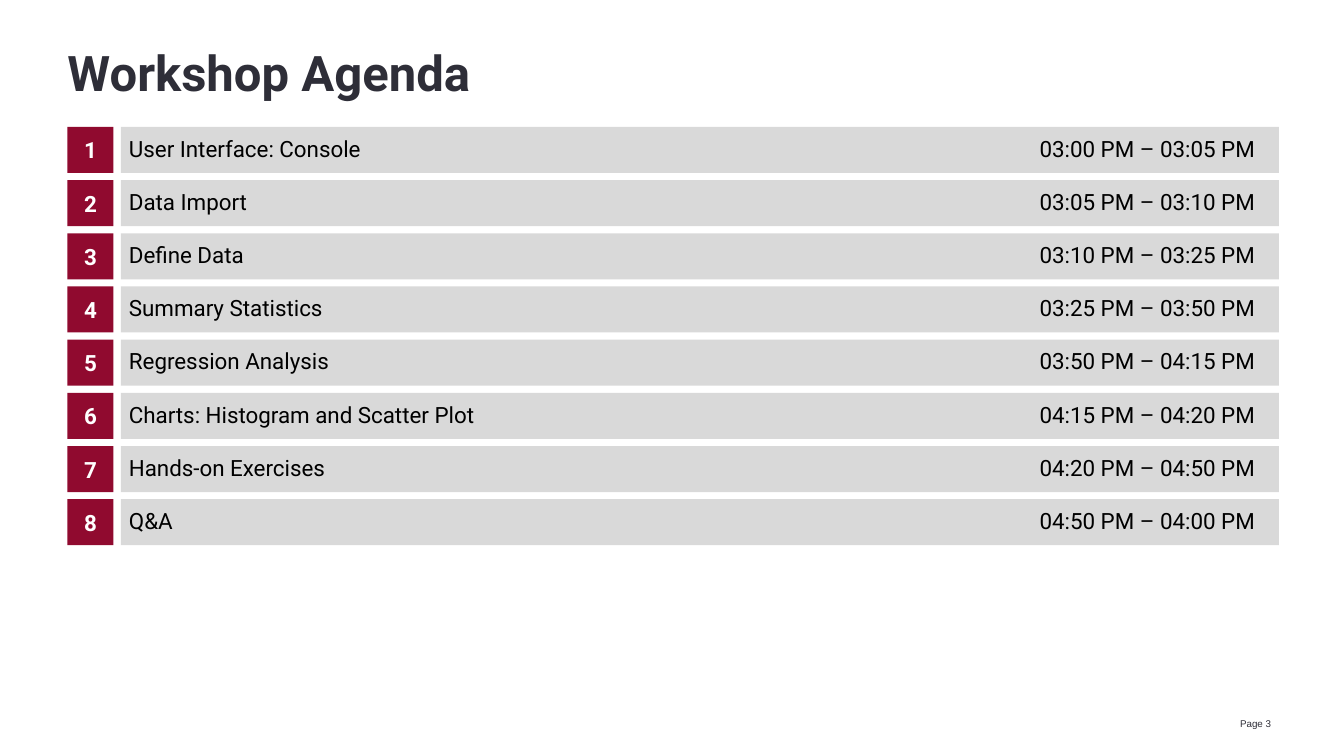
import pptx
import pptx.util
import pptx.dml.color
import pptx.enum.shapes
import pptx.enum.text

Cm = pptx.util.Cm
ALIGN = pptx.enum.text.PP_ALIGN
ANCHOR = pptx.enum.text.MSO_ANCHOR

AGENDA = [
    ("User Interface: Console", "03:00 PM – 03:05 PM"),
    ("Data Import", "03:05 PM – 03:10 PM"),
    ("Define Data", "03:10 PM – 03:25 PM"),
    ("Summary Statistics", "03:25 PM – 03:50 PM"),
    ("Regression Analysis", "03:50 PM – 04:15 PM"),
    ("Charts: Histogram and Scatter Plot", "04:15 PM – 04:20 PM"),
    ("Hands-on Exercises", "04:20 PM – 04:50 PM"),
    ("Q&A", "04:50 PM – 04:00 PM"),
]
DARK, BLACK, WHITE = "2E2E38", "000000", "FFFFFF"
GREY, CRIMSON = "D9D9D9", "900A2F"
FIRST_ROW, ROW_PITCH, ROW_HEIGHT = 3.2, 1.34, 1.16
LEFT, BAR_LEFT, TIME_LEFT = 1.7, 3.05, 26.2


def add_box(left, top, width, height, fill=None):
    """Add a filled rectangle, or a text box when there is no fill."""
    place = Cm(left), Cm(top), Cm(width), Cm(height)
    if fill is None:
        return slide.shapes.add_textbox(*place)
    shape = slide.shapes.add_shape(pptx.enum.shapes.MSO_SHAPE.RECTANGLE, *place)
    shape.shadow.inherit = False
    shape.fill.solid()
    shape.fill.fore_color.rgb = pptx.dml.color.RGBColor.from_string(fill)
    shape.line.fill.background()
    return shape


def write(shape, text, color, size=16, bold=False, name="Roboto", align=ALIGN.LEFT,
          anchor=ANCHOR.TOP, margins=(0, 0, 0, 0), line_spacing=None):
    """Write one paragraph; margins are left, top, right, bottom in cm."""
    frame = shape.text_frame
    left, top, right, bottom = map(Cm, margins)
    frame_format = {"word_wrap": True, "vertical_anchor": anchor, "margin_left": left,
                    "margin_top": top, "margin_right": right, "margin_bottom": bottom}
    for key, value in frame_format.items():
        setattr(frame, key, value)
    paragraph = frame.paragraphs[0]
    paragraph.alignment = align
    paragraph.line_spacing = line_spacing
    run = paragraph.add_run()
    run.text = text
    for key, value in {"name": name, "size": pptx.util.Pt(size), "bold": bold}.items():
        setattr(run.font, key, value)
    run.font.color.rgb = pptx.dml.color.RGBColor.from_string(color)


presentation = pptx.Presentation()
presentation.slide_width = Cm(33.87)
presentation.slide_height = Cm(19.05)
slide = presentation.slides.add_slide(presentation.slide_layouts[6])

write(add_box(LEFT, 0.86, 24.77, 1.7), "Workshop Agenda", DARK, size=35, bold=True,
      anchor=ANCHOR.BOTTOM, line_spacing=0.85)

for index, (topic, time) in enumerate(AGENDA):
    top = FIRST_ROW + index * ROW_PITCH
    add_box(BAR_LEFT, top, 29.18, ROW_HEIGHT, GREY)
    write(add_box(LEFT, top, ROW_HEIGHT, ROW_HEIGHT, CRIMSON), str(index + 1), WHITE,
          bold=True, align=ALIGN.CENTER, anchor=ANCHOR.MIDDLE, margins=(0.2, 0.2, 0.2, 0.2))
    write(add_box(BAR_LEFT, top, 12.9, ROW_HEIGHT), topic, BLACK, margins=(0.2, 0.2, 0, 0.2))
    write(add_box(TIME_LEFT, top, 5.82, ROW_HEIGHT), time, BLACK, margins=(0, 0.2, 0, 0.2))

write(add_box(30.2, 17.98, 2.1 - 0.27, 0.51), "Page 3", DARK, size=7, name="Arial",
      align=ALIGN.RIGHT, anchor=ANCHOR.MIDDLE)

presentation.save("out.pptx")
